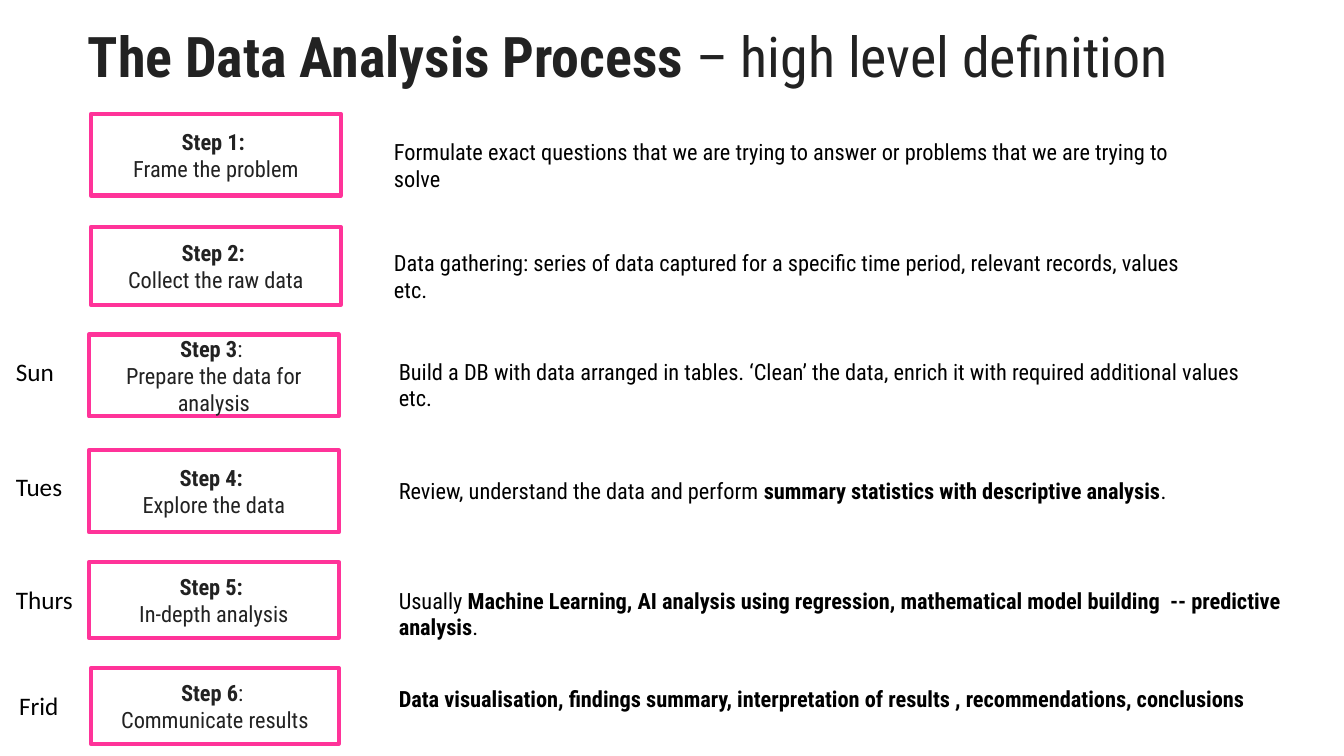
import pptx
import pptx.dml.color
import pptx.enum.shapes
import pptx.enum.text
import pptx.util
from pptx.util import Cm

PINK = pptx.dml.color.RGBColor(0xFF, 0x33, 0x99)
CHARCOAL = pptx.dml.color.RGBColor(0x22, 0x22, 0x22)
BLACK = pptx.dml.color.RGBColor(0x00, 0x00, 0x00)
CONDENSED = "Roboto Condensed"
BOLD_MARK = "**"

STEPS = [
    {"label": "**Step 1: **\nFrame the problem",
     "box": (2.29, 2.87, 6.3, 2.06),
     "description": "Formulate exact questions that we are trying to answer "
                    "or problems that we are trying to solve",
     "place": (9.68, 3.35, 21.21)},
    {"label": "**Step 2: **\nCollect the raw data",
     "box": (2.29, 5.72, 6.3, 1.96),
     "description": "Data gathering: series of data captured for a specific "
                    "time period, relevant records, values etc.",
     "place": (9.68, 6.15, 20.73)},
    {"label": "**Step 3**: \nPrepare the data for analysis",
     "box": (2.24, 8.43, 6.3, 2.06),
     "description": "Build a DB with data arranged in tables. ‘Clean’ the data, "
                    "enrich it with required additional values etc.",
     "place": (9.8, 8.89, 21.95)},
    {"label": "**Step 4: **\nExplore the data",
     "box": (2.24, 11.35, 6.3, 2.06),
     "description": "Review, understand the data and perform "
                    "**summary statistics with descriptive analysis**.",
     "place": (9.8, 11.89, 19.89)},
    {"label": "**Step 5: **\nIn-depth analysis",
     "box": (2.24, 14.17, 6.3, 1.9),
     "description": "Usually **Machine Learning, AI analysis using regression, "
                    "mathematical model building  -- predictive analysis**.",
     "place": (9.8, 14.66, 22.89)},
    {"label": "**Step 6**: \nCommunicate results",
     "box": (2.29, 16.84, 6.25, 1.9),
     "description": "**Data visualisation, findings summary, interpretation of "
                    "results , recommendations, conclusions**",
     "place": (9.8, 17.15, 22.89)},
]

DAYS = [
    ("Sun", 0.15, 8.86),
    ("Tues", 0.15, 11.76),
    ("Thurs", 0.15, 14.6),
    ("Frid", 0.23, 17.27),
]


def write_text(text_frame, text, size=16, font=CONDENSED, color=BLACK,
               alignment=pptx.enum.text.PP_ALIGN.LEFT):
    text_frame.word_wrap = True
    for index, line in enumerate(text.split("\n")):
        paragraph = text_frame.add_paragraph() if index else text_frame.paragraphs[0]
        paragraph.alignment = alignment
        for position, piece in enumerate(line.split(BOLD_MARK)):
            if piece:
                run = paragraph.add_run()
                run.text = piece
                run.font.name = font
                run.font.size = pptx.util.Pt(size)
                run.font.bold = position % 2 == 1
                run.font.color.rgb = color


def add_text(slide, text, left, top, width, height, **text_format):
    text_box = slide.shapes.add_textbox(Cm(left), Cm(top), Cm(width), Cm(height))
    text_box.text_frame.auto_size = pptx.enum.text.MSO_AUTO_SIZE.SHAPE_TO_FIT_TEXT
    write_text(text_box.text_frame, text, **text_format)


def add_step_box(slide, label, left, top, width, height):
    shape = slide.shapes.add_shape(
        pptx.enum.shapes.MSO_SHAPE.RECTANGLE,
        Cm(left), Cm(top), Cm(width), Cm(height))
    shape.shadow.inherit = False
    shape.fill.background()
    shape.line.color.rgb = PINK
    shape.line.width = pptx.util.Pt(3)
    shape.text_frame.vertical_anchor = pptx.enum.text.MSO_ANCHOR.MIDDLE
    write_text(shape.text_frame, label, color=CHARCOAL,
               alignment=pptx.enum.text.PP_ALIGN.CENTER)


def main():
    presentation = pptx.Presentation()
    presentation.slide_width = Cm(33.87)
    presentation.slide_height = Cm(19.05)
    slide = presentation.slides.add_slide(presentation.slide_layouts[6])

    add_text(slide, "**The Data Analysis Process **– high level definition",
             1.96, 0.43, 30.18, 1.96, size=40, color=CHARCOAL)
    for step in STEPS:
        add_step_box(slide, step["label"], *step["box"])
        add_text(slide, step["description"], *step["place"], 0.94)
    for day, left, top in DAYS:
        add_text(slide, day, left, top, 1.96, 1.02, size=18, font="Calibri")

    presentation.save("out.pptx")


if __name__ == "__main__":
    main()
